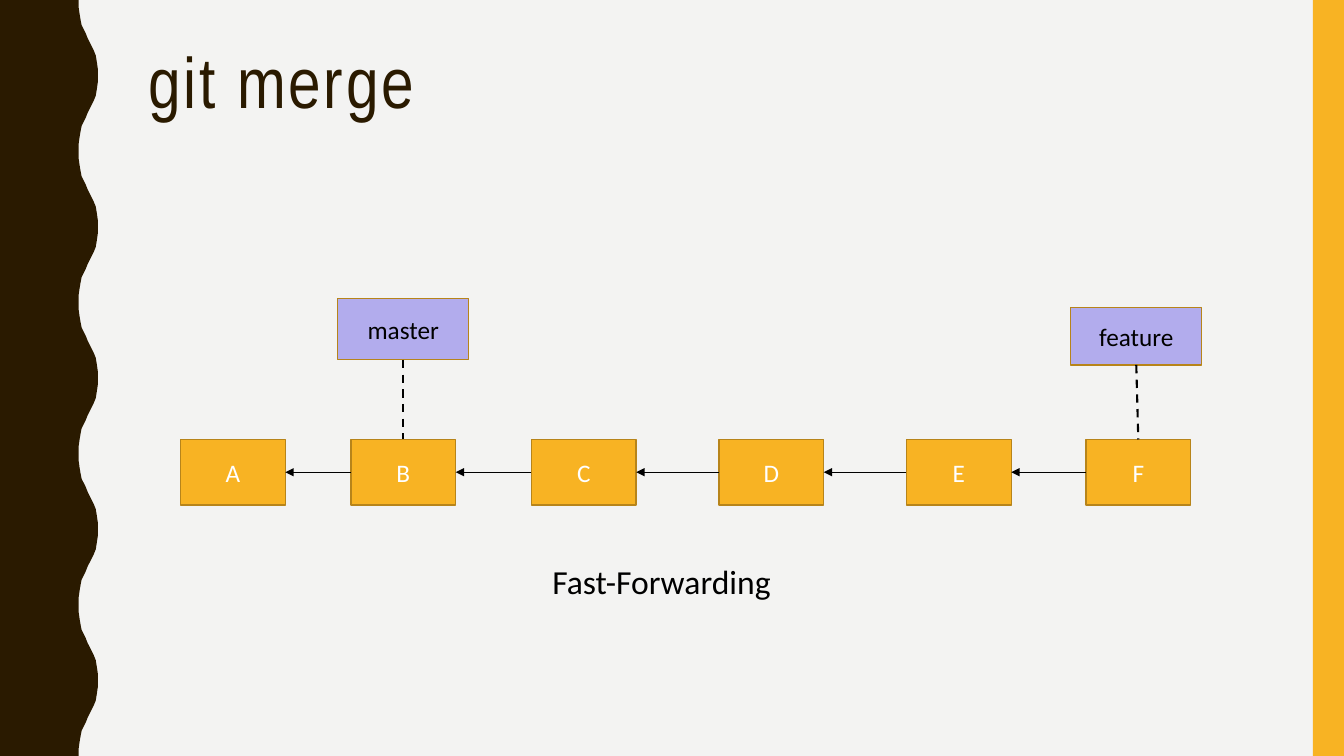
from itertools import pairwise

from lxml.etree import SubElement
from pptx import Presentation
from pptx.dml.color import RGBColor
from pptx.enum.dml import MSO_LINE
from pptx.enum.shapes import MSO_CONNECTOR, MSO_SHAPE
from pptx.enum.text import MSO_ANCHOR, MSO_AUTO_SIZE, PP_ALIGN
from pptx.oxml.ns import qn
from pptx.util import Emu, Pt

PX = 9144
BACKGROUND = RGBColor(0xF3, 0xF3, 0xF2)
BROWN = RGBColor(0x2A, 0x1A, 0x00)
AMBER = RGBColor(0xF8, 0xB3, 0x23)
OUTLINE = RGBColor(0xB7, 0x84, 0x1A)
LILAC = RGBColor(0xB2, 0xAC, 0xED)
WHITE = RGBColor(0xFF, 0xFF, 0xFF)
BLACK = RGBColor(0x00, 0x00, 0x00)
TOP, LEFT, BOTTOM, RIGHT = range(4)


class Deck:
    heading_font = "Arial Narrow"
    body_font = "Calibri"

    def __init__(self, width, height):
        self.prs = Presentation()
        self.prs.slide_width = Emu(width * PX)
        self.prs.slide_height = Emu(height * PX)
        self.s = self.prs.slides.add_slide(self.prs.slide_layouts[6])
        fill = self.s.background.fill
        fill.solid()
        fill.fore_color.rgb = BACKGROUND

    def paint(self, sp, color, outline=None):
        sp.shadow.inherit = False
        sp.fill.solid()
        sp.fill.fore_color.rgb = color
        if outline is None:
            sp.line.fill.background()
        else:
            sp.line.color.rgb = outline
            sp.line.width = Pt(1)

    def run(self, p, text, size, color, font):
        r = p.add_run()
        r.text = text
        r.font.size = Pt(size)
        r.font.name = font
        r.font.color.rgb = color
        return r

    def outline(self, points, color):
        builder = self.s.shapes.build_freeform(*points[0], scale=PX)
        builder.add_line_segments(points[1:], close=True)
        self.paint(builder.convert_to_shape(), color)

    def rect(self, x, y, w, h, color, outline=None):
        box = [Emu(v * PX) for v in (x, y, w, h)]
        sp = self.s.shapes.add_shape(MSO_SHAPE.RECTANGLE, *box)
        self.paint(sp, color, outline)
        return sp

    def node(self, text, x, y, w, h, color, text_color):
        sp = self.rect(x, y, w, h, color, OUTLINE)
        tf = sp.text_frame
        tf.vertical_anchor = MSO_ANCHOR.MIDDLE
        p = tf.paragraphs[0]
        p.alignment = PP_ALIGN.CENTER
        self.run(p, text, 18, text_color, self.body_font)
        return sp

    def link(self, start, start_site, end, end_site, width):
        line = self.s.shapes.add_connector(MSO_CONNECTOR.STRAIGHT, 0, 0, 0, 0)
        line.begin_connect(start, start_site)
        line.end_connect(end, end_site)
        line.line.color.rgb = BLACK
        line.line.width = Pt(width)
        SubElement(line._element.spPr, qn("a:effectLst"))
        return line

    def arrow(self, start, end):
        line = self.link(start, LEFT, end, RIGHT, 1)
        SubElement(line.line._get_or_add_ln(), qn("a:tailEnd"), type="triangle")

    def dashed(self, start, end):
        self.link(start, BOTTOM, end, TOP, 1.5).line.dash_style = MSO_LINE.DASH

    def text(self, text, x, y, w, h, size, color, font, wrap=True, spacing=0):
        box = [Emu(v * PX) for v in (x, y, w, h)]
        tf = self.s.shapes.add_textbox(*box).text_frame
        tf.word_wrap = wrap
        if not wrap:
            tf.auto_size = MSO_AUTO_SIZE.SHAPE_TO_FIT_TEXT
        p = tf.paragraphs[0]
        r = self.run(p, text, size, color, font)
        if spacing:
            p.line_spacing = 0.9
            r.font._element.set("spc", str(spacing * 100))


def wave_points():
    half = [(78, 0), (78, 7), (79, 14), (80, 20), (81, 25), (83, 29), (85, 33),
            (87, 38), (89, 42), (91, 46), (93, 50), (95, 55), (96, 61), (97, 68), (97, 75)]
    period = half + [(x, 150 - y) for x, y in half[-2:0:-1]]
    edge = [(x, y + 150 * i) for i in range(5) for x, y in period]
    return [(0, 0)] + edge + [(78, 750), (0, 750)]


def main():
    deck = Deck(1333, 750)
    deck.outline(wave_points(), BROWN)
    deck.rect(1302, 0, 31, 750, AMBER)
    deck.text("git merge", 137, 42, 1113, 163, 51, BROWN, deck.heading_font, spacing=2)

    lefts = (179, 348, 527, 713, 899, 1077)
    commits = {name: deck.node(name, x, 436, 104, 65, AMBER, WHITE)
               for name, x in zip("ABCDEF", lefts)}
    for parent, child in pairwise(commits.values()):
        deck.arrow(child, parent)

    branches = (("master", 335, 296, 61, "B"), ("feature", 1062, 305, 57, "F"))
    for name, x, y, h, commit in branches:
        branch = deck.node(name, x, y, 130, h, LILAC, BLACK)
        deck.dashed(branch, commits[commit])

    deck.text("Fast-Forwarding", 538, 552, 240, 50, 24, BLACK, deck.body_font, wrap=False)
    deck.prs.save("out.pptx")


if __name__ == "__main__":
    main()
